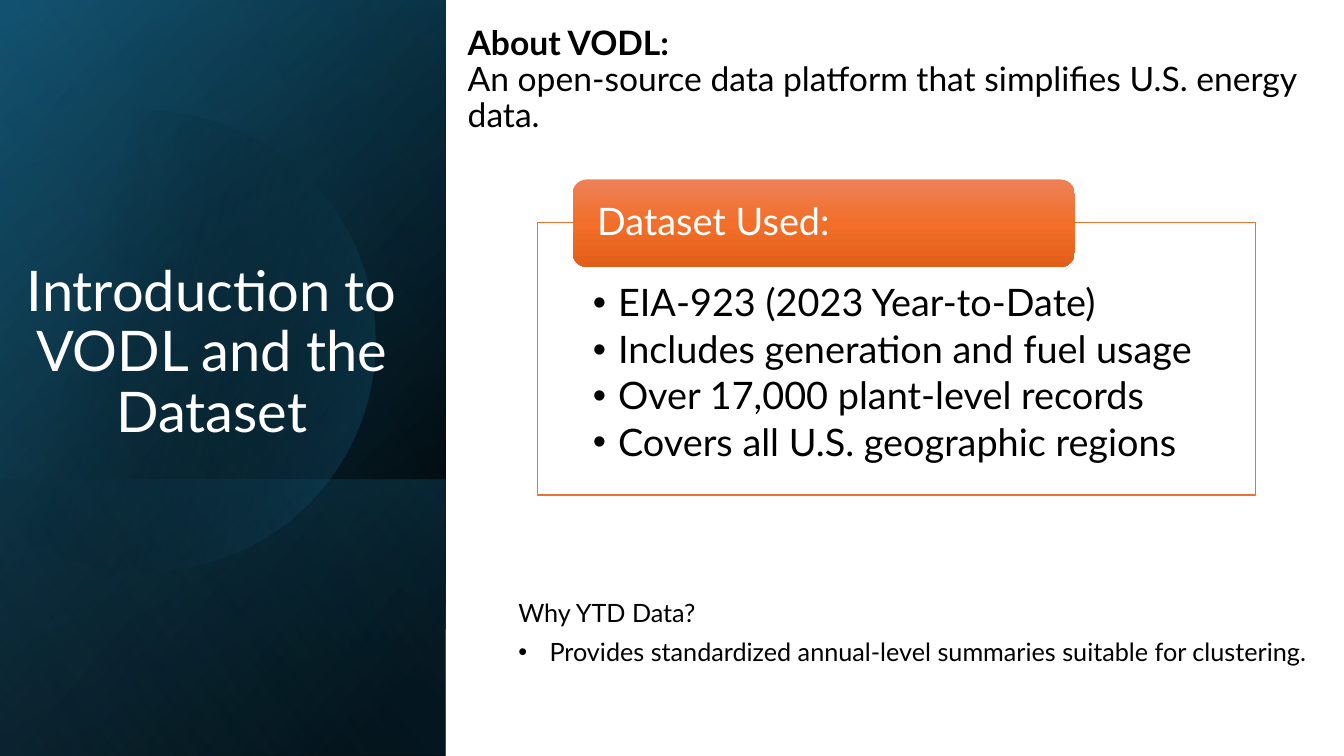
"""Build the slide that introduces VODL and the dataset."""
from dataclasses import dataclass

from lxml.etree import SubElement
from pptx import Presentation
from pptx.dml.color import RGBColor
from pptx.enum.shapes import MSO_SHAPE
from pptx.enum.text import MSO_ANCHOR, MSO_AUTO_SIZE, PP_ALIGN
from pptx.oxml import parse_xml
from pptx.oxml.ns import nsdecls, qn
from pptx.shapes.autoshape import Shape
from pptx.slide import Slide
from pptx.text.text import _Paragraph as Paragraph
from pptx.util import Inches, Pt

COLORS = {
    "black": "000000", "white": "FFFFFF", "navy": "104862", "teal": "156082",
    "sky": "46B1E1", "orange": "E97132", "orange_top": "ED8257",
    "orange_middle": "F26E29", "orange_bottom": "E25F1A",
}
FONT = "Lato"
Point = tuple[float, float]
Box = tuple[float, float, float, float]


@dataclass(frozen=True)
class Stop:
    """One gradient stop, with position and opacity in percent."""
    position: int
    color: str
    opacity: int = 100


@dataclass(frozen=True)
class Gradient:
    """A linear gradient with a clockwise angle in degrees."""
    angle: int
    stops: tuple[Stop, ...]


@dataclass(frozen=True)
class Panel:
    """A rectangle of the sidebar, turned by a quarter."""
    box: Box
    gradient: Gradient


@dataclass(frozen=True)
class TextStyle:
    """Character and paragraph formatting of a text."""
    size: int
    color: str = "black"
    spacing: float = 1.0
    after: float = 6
    align: PP_ALIGN = PP_ALIGN.LEFT


SIDEBAR: Box = (-1.54, 1.54, 7.5, 4.42)
BASE_PANELS = (
    Panel(SIDEBAR, Gradient(50, (Stop(8, "black"), Stop(100, "navy")))),
    Panel(SIDEBAR, Gradient(30, (Stop(0, "black", 0), Stop(99, "teal", 46)))),
    Panel((0.84, 3.92, 2.74, 4.42),
          Gradient(130, (Stop(2, "teal", 29), Stop(100, "black", 30)))),
)
TOP_PANEL = Panel(SIDEBAR, Gradient(120, (Stop(0, "black", 0), Stop(99, "sky", 11))))
DISC_GRADIENT = Gradient(14, (Stop(29, "black", 0), Stop(100, "teal", 43)))
HEADER_GRADIENT = Gradient(90, (
    Stop(0, "orange_top"), Stop(50, "orange_middle"), Stop(100, "orange_bottom")))
DISC_START: Point = (1.49, 1.1)
DISC_SEGMENTS: tuple[tuple[Point, ...], ...] = (
    ((2.46, 1.12), (3.35, 1.77), (3.63, 2.75)),
    ((3.98, 3.97), (3.28, 5.23), (2.07, 5.58)),
    ((1.31, 5.8), (0.53, 5.61), (-0.03, 5.14)),
    ((-0.15, 5.03),),
    ((-0.15, 1.75),),
    ((0, 1.61),),
    ((0.23, 1.42), (0.5, 1.28), (0.8, 1.19)),
    ((1.03, 1.13), (1.26, 1.1), (1.49, 1.1)),
)
CURVE_STEPS = 24
DATASET_BOX: Box = (5.33, 2.21, 7.12, 2.7)
DATASET_FACTS = (
    "EIA-923 (2023 Year-to-Date)",
    "Includes generation and fuel usage",
    "Over 17,000 plant-level records",
    "Covers all U.S. geographic regions",
)
REASON = (
    "Why YTD Data?",
    "Provides standardized annual-level summaries suitable for clustering.",
)


def rgb(name: str) -> RGBColor:
    """Return the named colour."""
    return RGBColor.from_string(COLORS[name])


def fill_gradient(shape: Shape, gradient: Gradient) -> None:
    """Fill a shape with a gradient and remove its outline and shadow."""
    stops = "".join(
        f'<a:gs pos="{stop.position * 1000}"><a:srgbClr val="{COLORS[stop.color]}">'
        f'<a:alpha val="{stop.opacity * 1000}"/></a:srgbClr></a:gs>'
        for stop in gradient.stops)
    shape.fill.background()
    properties = shape.element.spPr
    properties.replace(properties.find(qn("a:noFill")), parse_xml(
        f'<a:gradFill {nsdecls("a")} rotWithShape="1"><a:gsLst>{stops}</a:gsLst>'
        f'<a:lin ang="{gradient.angle * 60000}" scaled="0"/></a:gradFill>'))
    shape.line.fill.background()
    shape.shadow.inherit = False


def add_box(slide: Slide, kind: MSO_SHAPE, box: Box) -> Shape:
    """Add a preset shape at a place in inches."""
    return slide.shapes.add_shape(kind, *map(Inches, box))


def add_panel(slide: Slide, panel: Panel) -> None:
    """Add one turned and mirrored sidebar panel."""
    shape = add_box(slide, MSO_SHAPE.RECTANGLE, panel.box)
    shape.rotation = 90
    shape.element.spPr.find(qn("a:xfrm")).set("flipH", "1")
    fill_gradient(shape, panel.gradient)


def curve_points(start: Point, first: Point, second: Point, end: Point) -> list[Point]:
    """Return points along a cubic curve."""
    points = []
    for step in range(1, CURVE_STEPS + 1):
        t = step / CURVE_STEPS
        weights = ((1 - t) ** 3, 3 * t * (1 - t) ** 2, 3 * t * t * (1 - t), t ** 3)
        x, y = (sum(weight * value for weight, value in zip(weights, values))
                for values in zip(start, first, second, end))
        points.append((x, y))
    return points


def add_disc(slide: Slide) -> None:
    """Add the cut disc of the sidebar."""
    points = [DISC_START]
    for segment in DISC_SEGMENTS:
        points += curve_points(points[-1], *segment) if len(segment) == 3 else segment
    corners = [(Inches(x), Inches(y)) for x, y in points]
    builder = slide.shapes.build_freeform(*corners[0])
    builder.add_line_segments(corners[1:], close=True)
    fill_gradient(builder.convert_to_shape(), DISC_GRADIENT)


def place(shape: Shape, box: Box) -> None:
    """Move a placeholder to a box in front of the other shapes."""
    shape.left, shape.top, shape.width, shape.height = map(Inches, box)
    shape.element.getparent().append(shape.element)


def format_text(shape: Shape, style: TextStyle, anchor: MSO_ANCHOR = MSO_ANCHOR.TOP,
                margins: Box = (0.1, 0.05, 0.1, 0.05)) -> None:
    """Format the frame, paragraphs and runs of a shape."""
    frame = shape.text_frame
    frame.word_wrap = True
    frame.auto_size = MSO_AUTO_SIZE.NONE
    frame.vertical_anchor = anchor
    (frame.margin_left, frame.margin_top,
     frame.margin_right, frame.margin_bottom) = map(Inches, margins)
    for paragraph in frame.paragraphs:
        paragraph.alignment = style.align
        paragraph.line_spacing = style.spacing
        paragraph.space_before, paragraph.space_after = Pt(0), Pt(style.after)
        for run in paragraph.runs:
            run.font.name, run.font.size = FONT, Pt(style.size)
            run.font.color.rgb = rgb(style.color)


def set_bullet(paragraph: Paragraph, indent: float) -> None:
    """Give a paragraph a hanging bullet, or none when the indent is zero."""
    properties = paragraph._p.get_or_add_pPr()
    properties.set("marL", str(Inches(indent)))
    properties.set("indent", str(-Inches(indent)))
    if indent:
        SubElement(properties, qn("a:buFont")).set("typeface", "Arial")
        SubElement(properties, qn("a:buChar")).set("char", "•")
    else:
        SubElement(properties, qn("a:buNone"))


def main() -> None:
    """Build and save the presentation."""
    presentation = Presentation()
    presentation.slide_width, presentation.slide_height = Inches(13.33), Inches(7.5)
    slide = presentation.slides.add_slide(presentation.slide_layouts[3])
    title, facts, reason = slide.placeholders

    for panel in BASE_PANELS:
        add_panel(slide, panel)
    add_disc(slide)
    add_panel(slide, TOP_PANEL)

    place(title, (0.15, 2.41, 3.9, 2.05))
    title.text_frame.text = "Introduction to VODL and the Dataset"
    format_text(title, TextStyle(40, "white", 0.9, align=PP_ALIGN.CENTER), MSO_ANCHOR.BOTTOM)

    about = slide.shapes.add_textbox(*map(Inches, (4.54, 0.21, 8.69, 1.19)))
    about.text_frame.text = (
        "About VODL:\vAn open-source data platform that simplifies U.S. energy data.")
    format_text(about, TextStyle(24, spacing=0.9))
    about.text_frame.paragraphs[0].runs[0].font.bold = True

    place(reason, (5.04, 5.88, 8.07, 0.79))
    reason.text_frame.text = "\n".join(REASON)
    format_text(reason, TextStyle(18))
    reason.text_frame.word_wrap = False
    reason.text_frame.auto_size = MSO_AUTO_SIZE.SHAPE_TO_FIT_TEXT
    for paragraph, indent in zip(reason.text_frame.paragraphs, (0, 0.31)):
        set_bullet(paragraph, indent)

    frame = add_box(slide, MSO_SHAPE.RECTANGLE, DATASET_BOX)
    frame.fill.solid()
    frame.fill.fore_color.rgb = rgb("white")
    frame_color = frame.element.spPr.find(qn("a:solidFill"))[0]
    SubElement(frame_color, qn("a:alpha")).set("val", "90000")
    frame.line.color.rgb, frame.line.width = rgb("orange"), Pt(1)
    frame.shadow.inherit = False

    place(facts, DATASET_BOX)
    facts.text_frame.text = "\n".join(DATASET_FACTS)
    format_text(facts, TextStyle(27, spacing=0.9, after=4), margins=(0.55, 0.61, 0.55, 0.21))
    for paragraph in facts.text_frame.paragraphs:
        set_bullet(paragraph, 0.25)

    header = add_box(slide, MSO_SHAPE.ROUNDED_RECTANGLE, (5.68, 1.78, 4.98, 0.87))
    fill_gradient(header, HEADER_GRADIENT)
    header.text_frame.text = "Dataset Used:"
    format_text(header, TextStyle(27, "white", 0.9, 0), MSO_ANCHOR.MIDDLE, (0.2, 0, 0.2, 0))

    presentation.save("out.pptx")


if __name__ == "__main__":
    main()
